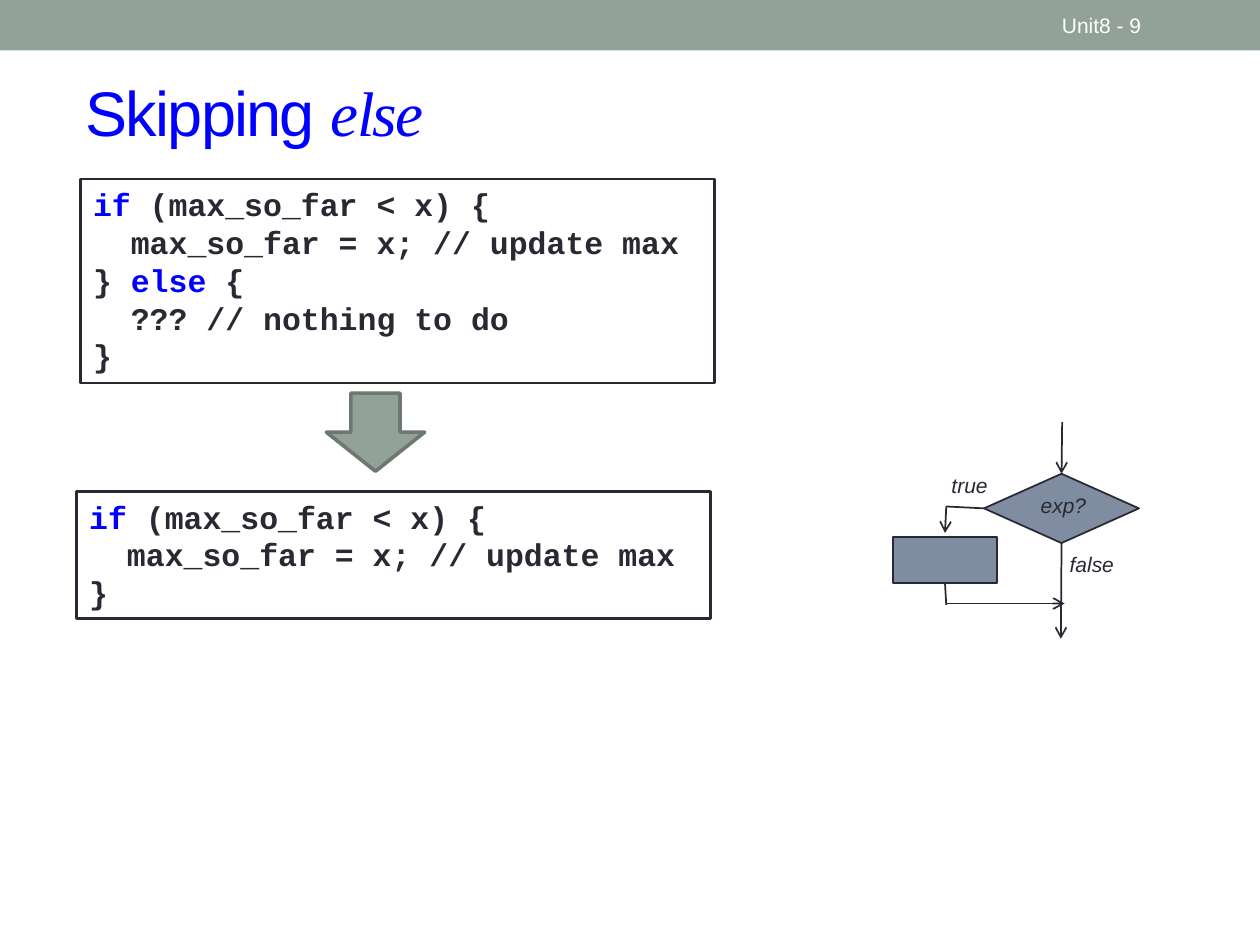
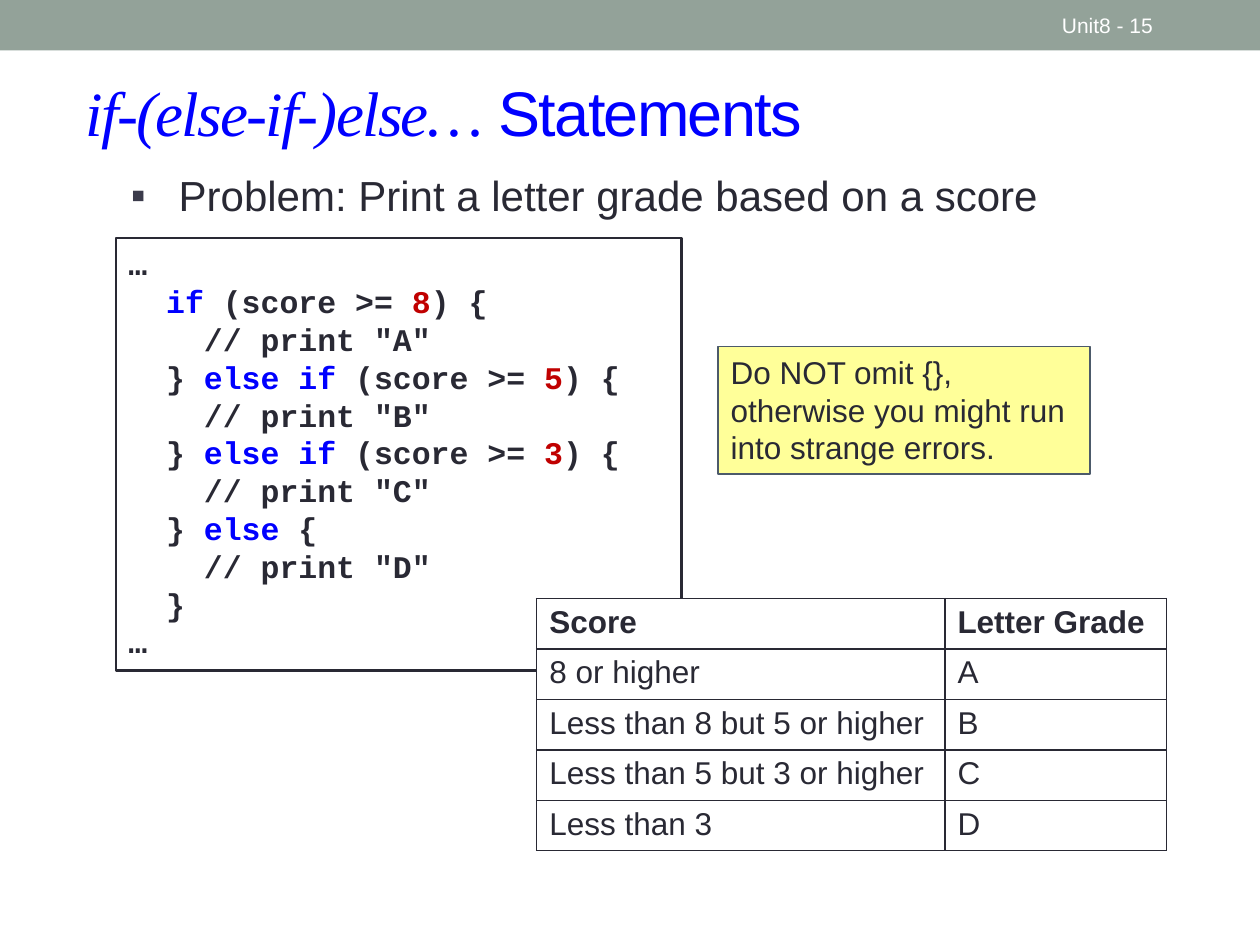
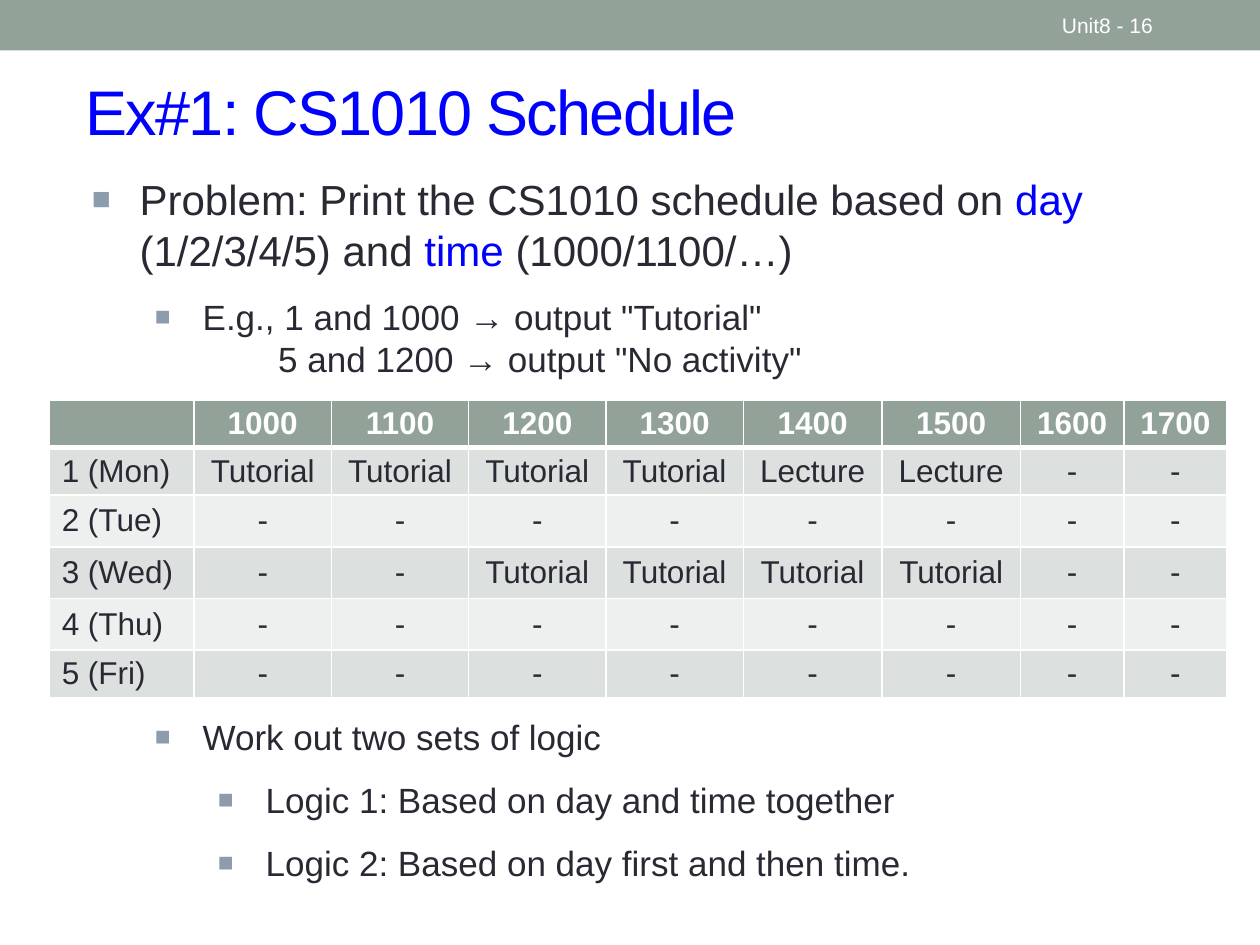
from dataclasses import dataclass
from typing import Any, NamedTuple, Optional

from lxml.etree import SubElement
from pptx import Presentation
from pptx.dml.color import RGBColor
from pptx.enum.shapes import MSO_CONNECTOR as Connector, MSO_SHAPE as Preset
from pptx.enum.text import MSO_ANCHOR as Anchor, MSO_AUTO_SIZE as AutoSize, PP_ALIGN as Align
from pptx.oxml.ns import qn
from pptx.util import Inches, Pt

INK, BLUE, RED, WHITE = "292934", "0000FF", "C00000", "FFFFFF"
SAGE, SAGE_EDGE, SLATE = "93A299", "6D7871", "808DA0"
DARK_ROW, LIGHT_ROW = "DCE0DE", "EEF0EF"
NOTE_FILL, NOTE_EDGE = "FFFF99", "4C5A6A"

TITLE = {"name": "Arial", "size": Pt(36), "italic": False}
TITLE_KEYWORD = {**TITLE, "name": "Times New Roman", "italic": True}
CODE = {"name": "Courier New", "size": Pt(18), "bold": True}
BODY = {"name": "Arial", "size": Pt(24)}
DETAIL = {"name": "Arial", "size": Pt(20)}
CELL = {"name": "Arial", "size": Pt(18), "bold": False}
HEADER = {**CELL, "bold": True}
NOTE = {"name": "Arial", "size": Pt(18)}
PAGE = {"name": "Arial", "size": Pt(12)}
FLOW = {**PAGE, "italic": True}


class Box(NamedTuple):
    left: float
    top: float
    width: float
    height: float

    def lengths(self) -> list[int]:
        return [Inches(value) for value in self]


class Point(NamedTuple):
    x: float
    y: float


class Site(NamedTuple):
    shape: Any
    index: int


class Bullet(NamedTuple):
    symbol: str
    color: str
    percent: int


SMALL_SQUARE = Bullet("▪", "3B3B4B", 100)
SQUARE = Bullet("■", "8C9CAD", 75)


@dataclass
class Item:
    text: str
    values: dict
    margin: float
    bullet: Optional[Bullet] = None
    before: int = 12


@dataclass
class Link:
    start: Point
    end: Point
    arrow: bool = False
    begin_site: Optional[Site] = None
    end_site: Optional[Site] = None


@dataclass
class Grid:
    left: float
    top: float
    columns: list[float]
    heights: list[float]
    rows: list[list[str]]
    fills: list[str]
    border: str
    header_color: str = INK
    header_rule: float = 1
    value_align: Align = Align.LEFT
    cell_margin: float = 0.05
    anchor: Anchor = Anchor.TOP


def rgb(color: str) -> RGBColor:
    return RGBColor.from_string(color)


def set_values(target: Any, values: dict) -> None:
    for name, value in values.items():
        setattr(target, name, value)


def add_run(paragraph: Any, text: str, values: dict, color: str) -> Any:
    run = paragraph.add_run()
    run.text = text
    set_values(run.font, values)
    run.font.color.rgb = rgb(color)
    return run


def write_line(paragraph: Any, marked: str, values: dict, color: str = INK,
               align: Align = Align.LEFT) -> None:
    paragraph.alignment = align
    for index, text in enumerate(marked.split("|")):
        if text:
            accent = RED if text.isdigit() else BLUE
            add_run(paragraph, text, values, accent if index % 2 else color)


def write_lines(frame: Any, lines: list[str], values: dict, color: str = INK,
                align: Align = Align.LEFT) -> None:
    for index, line in enumerate(lines):
        paragraph = frame.add_paragraph() if index else frame.paragraphs[0]
        write_line(paragraph, line, values, color, align)


def add_label(slide: Any, box: Box, text: str, values: dict, color: str = INK,
              align: Align = Align.LEFT, anchor: Anchor = Anchor.TOP) -> None:
    frame = slide.shapes.add_textbox(*box.lengths()).text_frame
    set_values(frame, {"word_wrap": True, "vertical_anchor": anchor})
    write_lines(frame, [text], values, color, align)


def add_block(slide: Any, preset: Preset, box: Box, fill: str,
              edge: Optional[str] = None, weight: float = 1) -> Any:
    shape = slide.shapes.add_shape(preset, *box.lengths())
    shape.shadow.inherit = False
    shape.fill.solid()
    shape.fill.fore_color.rgb = rgb(fill)
    if edge:
        shape.line.color.rgb = rgb(edge)
        shape.line.width = Pt(weight)
    else:
        shape.line.fill.background()
    return shape


def add_panel(slide: Any, box: Box, lines: list[str], values: dict, fill: str = WHITE,
              edge: str = INK, weight: float = 1.5) -> None:
    frame = add_block(slide, Preset.RECTANGLE, box, fill, edge, weight).text_frame
    set_values(frame, {"word_wrap": True, "vertical_anchor": Anchor.TOP,
                       "auto_size": AutoSize.SHAPE_TO_FIT_TEXT})
    write_lines(frame, lines, values)


def add_link(slide: Any, link: Link) -> None:
    ends = [Inches(value) for value in (*link.start, *link.end)]
    connector = slide.shapes.add_connector(Connector.STRAIGHT, *ends)
    if link.begin_site:
        connector.begin_connect(*link.begin_site)
    if link.end_site:
        connector.end_connect(*link.end_site)
    connector.line.color.rgb = rgb(INK)
    connector.line.width = Pt(1)
    properties = connector.element.spPr
    if link.arrow:
        SubElement(properties.get_or_add_ln(), qn("a:tailEnd"), type="arrow")
    SubElement(properties, qn("a:effectLst"))


def add_items(slide: Any, box: Box, items: list[Item]) -> None:
    frame = slide.shapes.add_textbox(*box.lengths()).text_frame
    frame.word_wrap = True
    for index, item in enumerate(items):
        paragraph = frame.add_paragraph() if index else frame.paragraphs[0]
        properties = paragraph._p.get_or_add_pPr()
        properties.set("marL", str(Inches(item.margin)))
        if item.bullet:
            properties.set("indent", str(-Inches(0.38)))
            color = SubElement(properties, qn("a:buClr"))
            SubElement(color, qn("a:srgbClr"), val=item.bullet.color)
            SubElement(properties, qn("a:buSzPct"), val=str(item.bullet.percent * 1000))
            SubElement(properties, qn("a:buFont"), typeface="Arial")
            SubElement(properties, qn("a:buChar"), char=item.bullet.symbol)
        if index:
            paragraph.space_before = Pt(item.before)
        write_line(paragraph, item.text, item.values)


def set_border(cell: Any, side: str, color: str, weight: float) -> None:
    properties = cell._tc.get_or_add_tcPr()
    line = SubElement(properties, qn(f"a:ln{side}"), w=str(Pt(weight)))
    fill = SubElement(line, qn("a:solidFill"))
    SubElement(fill, qn("a:srgbClr"), val=color)


def add_grid(slide: Any, grid: Grid) -> None:
    box = Box(grid.left, grid.top, sum(grid.columns), sum(grid.heights))
    table = slide.shapes.add_table(len(grid.rows), len(grid.columns), *box.lengths()).table
    set_values(table, {"first_row": False, "horz_banding": False})
    for column, width in zip(table.columns, grid.columns):
        column.width = Inches(width)
    for row, height in zip(table.rows, grid.heights):
        row.height = Inches(height)
    margin = Inches(grid.cell_margin)
    for row_index, texts in enumerate(grid.rows):
        rules = {"L": 1, "R": 1,
                 "T": grid.header_rule if row_index == 1 else 1,
                 "B": grid.header_rule if row_index == 0 else 1}
        values, color = (CELL, INK) if row_index else (HEADER, grid.header_color)
        for column_index, text in enumerate(texts):
            cell = table.cell(row_index, column_index)
            set_values(cell, {"margin_top": margin, "margin_bottom": margin,
                              "vertical_anchor": grid.anchor})
            for side, weight in rules.items():
                set_border(cell, side, grid.border, weight)
            cell.fill.solid()
            cell.fill.fore_color.rgb = rgb(grid.fills[row_index])
            align = grid.value_align if column_index else Align.LEFT
            write_line(cell.text_frame.paragraphs[0], text, values, color, align)


def add_band(slide: Any) -> None:
    band = add_block(slide, Preset.RECTANGLE, Box(0, 0, 10, 0.4), SAGE)
    band.element.nvSpPr.cNvPr.id = 100
    slide.slide_layout.shapes.element.insert(2, band.element)


def start_slide(presentation: Any, title: str, page: int,
                box: Box = Box(0.58, 0.42, 9.17, 0.92)) -> Any:
    slide = presentation.slides.add_slide(presentation.slide_layouts[5])
    heading = slide.shapes.title
    set_values(heading, dict(zip(("left", "top", "width", "height"), box.lengths())))
    set_values(heading.text_frame, {"word_wrap": True, "vertical_anchor": Anchor.MIDDLE,
                                    "auto_size": AutoSize.NONE})
    paragraph = heading.text_frame.paragraphs[0]
    paragraph.alignment = Align.LEFT
    for index, text in enumerate(title.split("|")):
        if text:
            run = add_run(paragraph, text, TITLE_KEYWORD if index % 2 else TITLE, BLUE)
            run.font._element.set("spc", "-100")
    add_label(slide, Box(8.33, 0.02, 1.17, 0.36), f"Unit8 - {page}", PAGE, WHITE,
              anchor=Anchor.MIDDLE)
    return slide


def add_flowchart(slide: Any) -> None:
    decision = add_block(slide, Preset.FLOWCHART_DECISION, Box(7.81, 3.76, 1.23, 0.55), SLATE, INK)
    process = add_block(slide, Preset.FLOWCHART_PROCESS, Box(7.09, 4.26, 0.82, 0.37), SLATE, INK)
    for link in (
        Link(Point(8.43, 3.35), Point(8.43, 3.76), True, end_site=Site(decision, 0)),
        Link(Point(7.81, 4.03), Point(7.51, 4.02), begin_site=Site(decision, 1)),
        Link(Point(7.51, 4.02), Point(7.5, 4.23), True),
        Link(Point(8.43, 4.31), Point(8.42, 5.07), True, begin_site=Site(decision, 2)),
        Link(Point(7.5, 4.63), Point(7.51, 4.8), begin_site=Site(process, 2)),
        Link(Point(7.51, 4.79), Point(8.45, 4.79), True),
    ):
        add_link(slide, link)
    for text, box in (
        ("exp?", Box(8.05, 3.86, 0.78, 0.3)),
        ("true", Box(7.39, 3.7, 0.61, 0.3)),
        ("false", Box(8.34, 4.33, 0.65, 0.3)),
    ):
        add_label(slide, box, text, FLOW, align=Align.CENTER)


def build_skipping_else(presentation: Any) -> None:
    slide = start_slide(presentation, "Skipping |else|", 9)
    add_band(slide)
    update = ["|if| (max_so_far < x) {", "  max_so_far = x; // update max"]
    empty_else = ["} |else| {", "  ??? // nothing to do"]
    add_panel(slide, Box(0.64, 1.42, 5.03, 1.62), [*update, *empty_else, "}"], CODE)
    add_panel(slide, Box(0.61, 3.9, 5.03, 1.01), [*update, "}"], CODE)
    add_flowchart(slide)
    add_block(slide, Preset.DOWN_ARROW, Box(2.59, 3.12, 0.78, 0.62), SAGE, SAGE_EDGE, 2.08)


def build_letter_grade(presentation: Any) -> None:
    slide = start_slide(presentation, "|if-(else-if-)else…| Statements", 15)
    add_items(slide, Box(0.64, 1.3, 9, 0.5), [
        Item("Problem: Print a letter grade based on a score", BODY, 0.68, SMALL_SQUARE)])
    add_panel(slide, Box(0.92, 1.89, 4.49, 3.43), [
        "…",
        "  |if| (score >= |8|) {",
        "    // print \"A\"",
        "  } |else if| (score >= |5|) {",
        "    // print \"B\"",
        "  } |else if| (score >= |3|) {",
        "    // print \"C\"",
        "  } |else |{",
        "    // print \"D\"",
        "  }",
        "…",
    ], CODE)
    add_grid(slide, Grid(4.26, 4.75, [3.24, 1.76], [0.4] * 5, [
        ["Score", "Letter Grade"],
        ["8 or higher", "A"],
        ["Less than 8 but 5 or higher", "B"],
        ["Less than 5 but 3 or higher", "C"],
        ["Less than 3", "D"],
    ], [WHITE] * 5, INK))
    add_panel(slide, Box(5.7, 2.75, 2.95, 1.01),
              ["Do NOT omit {}, otherwise you might run into strange errors."],
              NOTE, NOTE_FILL, NOTE_EDGE, 1)


def build_schedule(presentation: Any) -> None:
    slide = start_slide(presentation, "Ex#1: CS1010 Schedule", 16, Box(0.58, 0.5, 9.19, 0.75))
    add_items(slide, Box(0.63, 1.33, 9.15, 1.75), [
        Item("Problem: Print the CS1010 schedule based on |day |(1/2/3/4/5) and "
             "|time |(1000/1100/…)", BODY, 0.38, SQUARE),
        Item("E.g., 1 and 1000 → output \"Tutorial\"", DETAIL, 0.88, SQUARE),
        Item("5 and 1200 → output \"No activity\"", DETAIL, 1.48, before=0),
    ])
    free, tutorial, lecture = ["-"], ["Tutorial"], ["Lecture"]
    add_grid(slide, Grid(
        0.39, 3.18, [1.15] + [1.09] * 4 + [1.1] * 2 + [0.82] * 2,
        [0.37, 0.38, 0.41, 0.41, 0.41, 0.38], [
            ["", *(str(time) for time in range(1000, 1701, 100))],
            ["1 (Mon)", *tutorial * 4, *lecture * 2, *free * 2],
            ["2 (Tue)", *free * 8],
            ["3 (Wed)", *free * 2, *tutorial * 4, *free * 2],
            ["4 (Thu)", *free * 8],
            ["5 (Fri)", *free * 8],
        ], [SAGE, *[DARK_ROW, LIGHT_ROW] * 2, DARK_ROW], WHITE, WHITE, 3,
        Align.CENTER, 0.02, Anchor.MIDDLE))
    add_items(slide, Box(0.63, 5.63, 9.15, 1.5), [
        Item("Work out two sets of logic", DETAIL, 0.88, SQUARE),
        Item("Logic 1: Based on day and time together", DETAIL, 1.38, SQUARE),
        Item("Logic 2: Based on day first and then time.", DETAIL, 1.38, SQUARE),
    ])


def main() -> None:
    presentation = Presentation()
    set_values(presentation, {"slide_width": Inches(10), "slide_height": Inches(7.5)})
    build_skipping_else(presentation)
    build_letter_grade(presentation)
    build_schedule(presentation)
    presentation.save("out.pptx")


if __name__ == "__main__":
    main()
